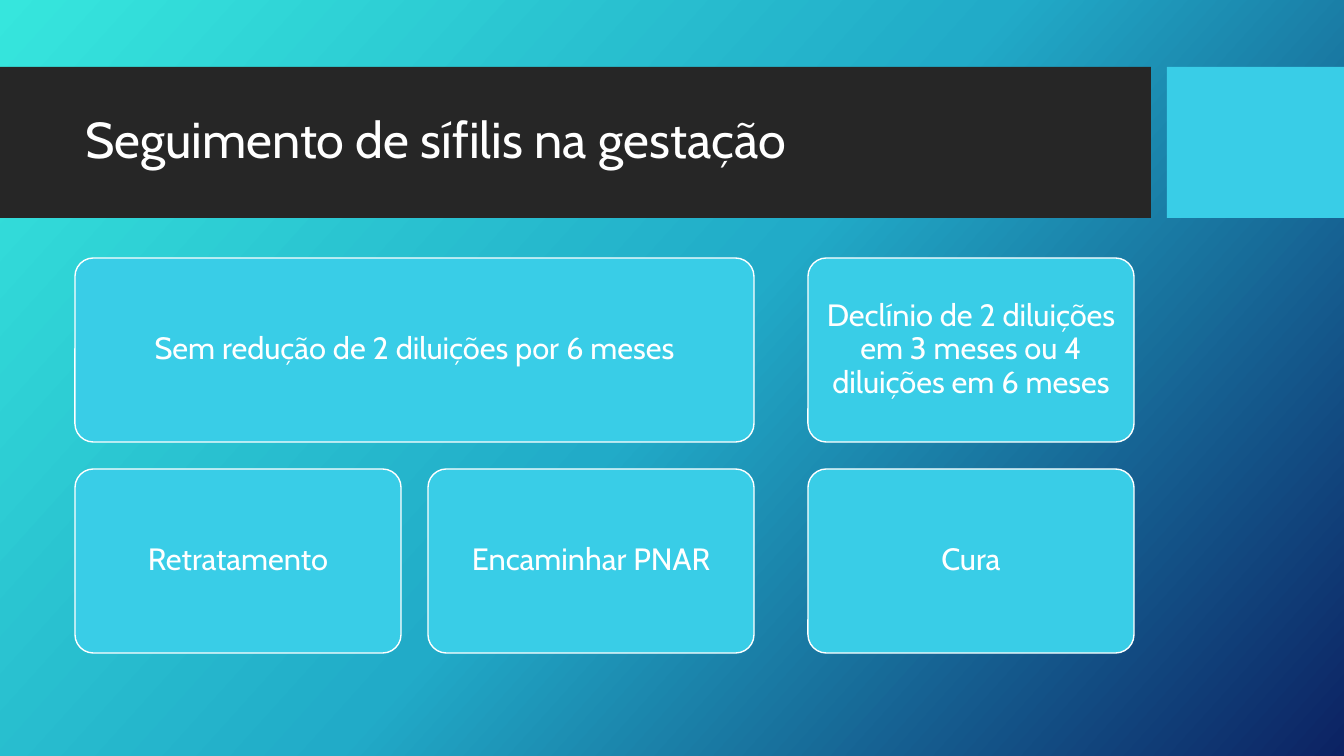
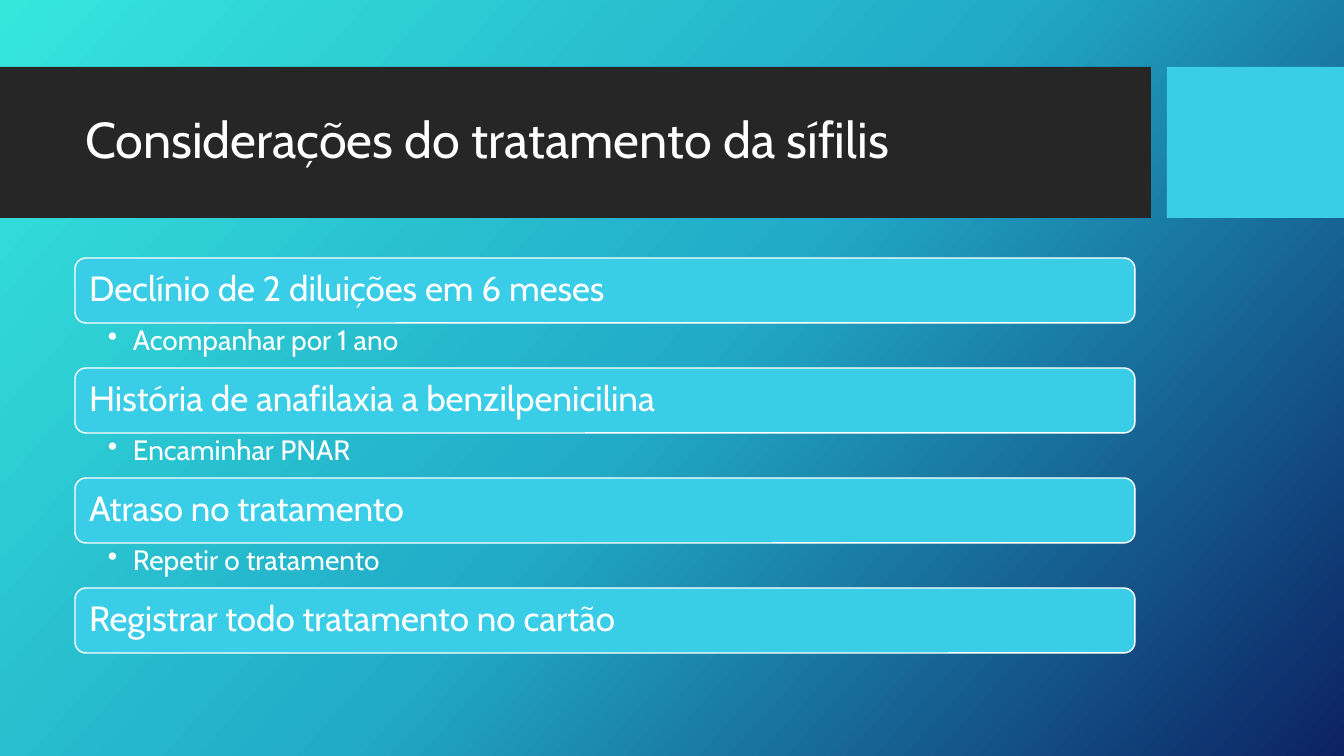
"""Build two slides on following up and treating syphilis in pregnancy."""
from copy import deepcopy
from dataclasses import dataclass

from lxml.etree import SubElement
from pptx import Presentation
from pptx.dml.color import RGBColor
from pptx.enum.shapes import MSO_SHAPE
from pptx.enum.text import MSO_ANCHOR, PP_ALIGN
from pptx.oxml.ns import qn
from pptx.util import Emu, Pt


@dataclass(frozen=True)
class Theme:
    font: str = "Cabin"
    white: str = "FFFFFF"
    dark: str = "262626"
    accent: str = "39CDE7"
    gradient: tuple = ((0, "36E6DD"), (0.5, "21ABC8"), (1, "0C2263"))
    gradient_angle: int = 42
    title: int = 36
    card: int = 22
    heading: int = 25
    bullet: int = 20
    spacing: float = 0.9


THEME = Theme()
PX = 914400 / 100.8
SLIDE_W, SLIDE_H = 1344, 756
BAND = (0, 67, 1151, 151)
ACCENT_BAND = (1167, 67, 177, 151)
TITLE_BOX = (75, 83, 1059, 119)
LEFT, TOP, CONTENT_W = 75, 258, 1060

FOLLOW_UP_TITLE = "Seguimento de sífilis na gestação"
FOLLOW_UP = [
    ("Sem redução de 2 diluições por 6 meses", ["Retratamento", "Encaminhar PNAR"]),
    ("Declínio de 2 diluições em 3 meses ou 4 diluições em 6 meses", ["Cura"]),
]
CARD_W, CARD_H, CARD_GAP, GROUP_GAP = 326, 184, 27, 54

TREATMENT_TITLE = "Considerações do tratamento da sífilis"
TREATMENT = [
    ("Declínio de 2 diluições em 6 meses", "Acompanhar por 1 ano"),
    ("História de anafilaxia a benzilpenicilina", "Encaminhar PNAR"),
    ("Atraso no tratamento", "Repetir o tratamento"),
    ("Registrar todo tratamento no cartão", None),
]
HEADING_H, BULLET_H, BULLET_INDENT = 65, 45, 25


def px(n):
    return Emu(round(n * PX))


def rgb(value):
    return RGBColor.from_string(value)


def write(sp, text, *, size, align=PP_ALIGN.LEFT, anchor=MSO_ANCHOR.MIDDLE,
          insets=(10, 5, 10, 5), bullet=False):
    tf = sp.text_frame
    tf.word_wrap = True
    tf.vertical_anchor = anchor
    tf.margin_left, tf.margin_top, tf.margin_right, tf.margin_bottom = map(px, insets)
    p = tf.paragraphs[0]
    p.alignment = align
    p.line_spacing = THEME.spacing
    r = p.add_run()
    r.text = text
    r.font.name = THEME.font
    r.font.size = Pt(size)
    r.font.color.rgb = rgb(THEME.white)
    if bullet:
        pPr = p._p.get_or_add_pPr()
        pPr.set("marL", str(px(BULLET_INDENT)))
        pPr.set("indent", str(px(-BULLET_INDENT)))
        SubElement(pPr, qn("a:buChar"), char="•")


def add_text(slide, box, text, **fmt):
    write(slide.shapes.add_textbox(*map(px, box)), text, **fmt)


def add_block(slide, box, fill, kind=MSO_SHAPE.RECTANGLE):
    sp = slide.shapes.add_shape(kind, *map(px, box))
    sp.shadow.inherit = False
    sp.fill.solid()
    sp.fill.fore_color.rgb = rgb(fill)
    sp.line.fill.background()
    return sp


def add_card(slide, box, text, *, radius, **fmt):
    sp = add_block(slide, box, THEME.accent, MSO_SHAPE.ROUNDED_RECTANGLE)
    sp.adjustments[0] = radius
    sp.line.color.rgb = rgb(THEME.white)
    sp.line.width = Pt(1)
    write(sp, text, **fmt)


def paint_background(slide):
    fill = slide.background.fill
    fill.gradient()
    fill.gradient_angle = 360 - THEME.gradient_angle
    stops = slide._element.find(".//" + qn("a:gsLst"))
    stops.append(deepcopy(stops[-1]))
    for stop, (position, color) in zip(fill.gradient_stops, THEME.gradient):
        stop.position = position
        stop.color.rgb = rgb(color)


def add_slide(prs, title):
    slide = prs.slides.add_slide(prs.slide_layouts[6])
    paint_background(slide)
    add_block(slide, BAND, THEME.dark)
    add_block(slide, ACCENT_BAND, THEME.accent)
    add_text(slide, TITLE_BOX, title, size=THEME.title)
    return slide


def build_follow_up(prs):
    slide = add_slide(prs, FOLLOW_UP_TITLE)
    fmt = dict(radius=0.1, size=THEME.card, align=PP_ALIGN.CENTER, insets=(9, 9, 9, 9))
    step = CARD_W + CARD_GAP
    left = LEFT
    for finding, actions in FOLLOW_UP:
        width = len(actions) * step - CARD_GAP
        add_card(slide, (left, TOP, width, CARD_H), finding, **fmt)
        for i, action in enumerate(actions):
            box = (left + i * step, TOP + CARD_H + CARD_GAP, CARD_W, CARD_H)
            add_card(slide, box, action, **fmt)
        left += width + GROUP_GAP


def build_treatment(prs):
    slide = add_slide(prs, TREATMENT_TITLE)
    for i, (heading, action) in enumerate(TREATMENT):
        top = TOP + i * (HEADING_H + BULLET_H)
        add_card(slide, (LEFT, top, CONTENT_W, HEADING_H), heading, radius=0.17,
                 size=THEME.heading, insets=(11, 10, 11, 10))
        if action:
            add_text(slide, (LEFT, top + HEADING_H, CONTENT_W, BULLET_H), action,
                     size=THEME.bullet, anchor=MSO_ANCHOR.TOP,
                     insets=(33, 3, 19, 3), bullet=True)


def main():
    prs = Presentation()
    prs.slide_width, prs.slide_height = px(SLIDE_W), px(SLIDE_H)
    build_follow_up(prs)
    build_treatment(prs)
    prs.save("out.pptx")


if __name__ == "__main__":
    main()
